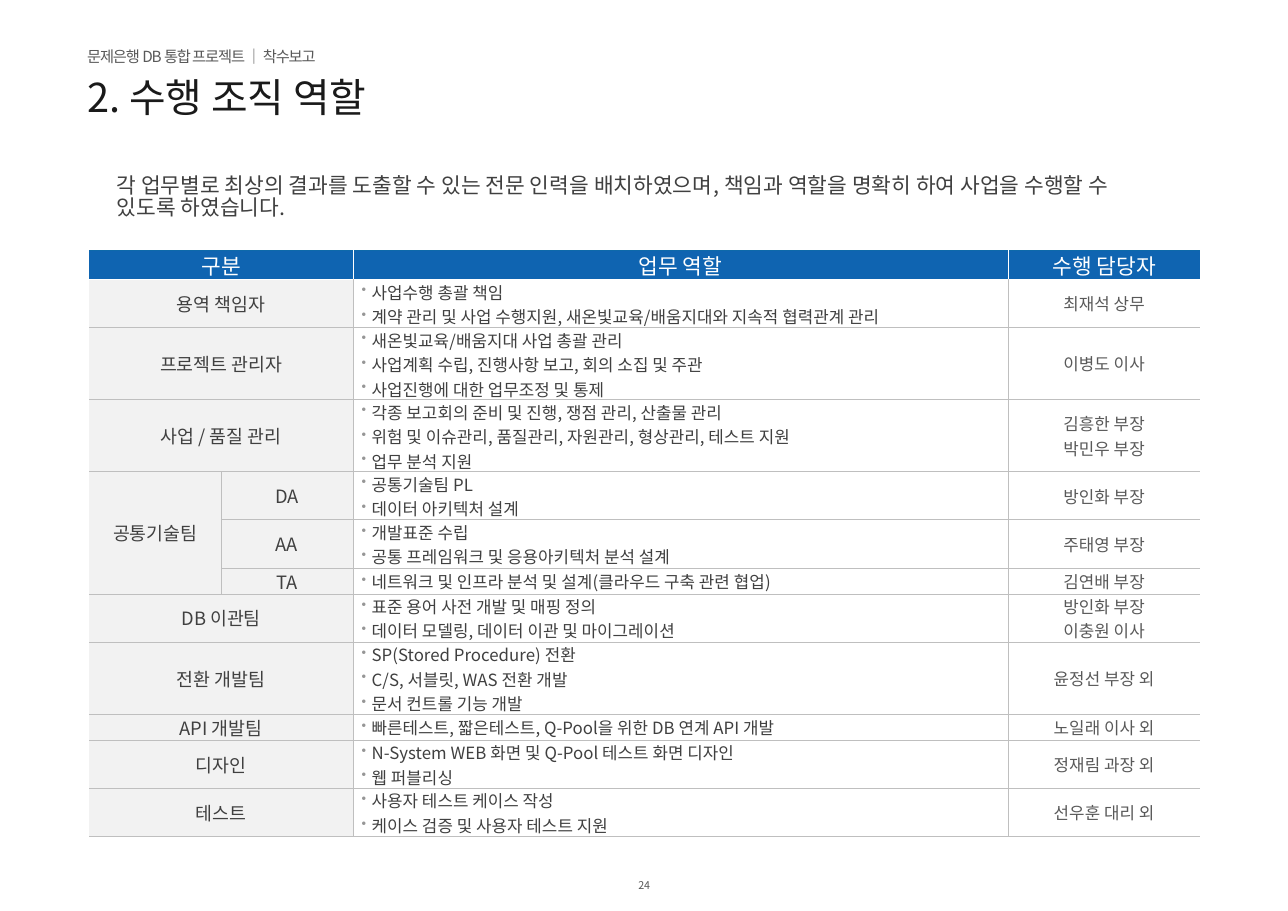
from lxml.etree import SubElement
from pptx import Presentation
from pptx.dml.color import RGBColor
from pptx.enum.text import MSO_ANCHOR, PP_ALIGN
from pptx.oxml.ns import qn
from pptx.util import Cm, Pt

FONT = "Noto Sans CJK KR"
COLORS = {
    "title": "1A1A1A", "text": "404040", "muted": "595959", "white": "FFFFFF",
    "header": "0F64B1", "header_top": "0E69AA", "division": "F2F2F2",
    "rule": "BFBFBF", "bullet": "969696",
}
HEADINGS = ["구분", "", "업무 역할", "수행 담당자"]
COLUMN_WIDTHS = [3.04, 3.04, 15.11, 4.42]
HEADER_HEIGHT = 0.67
HEIGHT_BY_DUTIES = {1: 0.6, 2: 1.11, 3: 1.66}
TEAM_ROWS = (4, 6)
ROLES = [
    ("용역 책임자", "", ["사업수행 총괄 책임",
                    "계약 관리 및 사업 수행지원, 새온빛교육/배움지대와 지속적 협력관계 관리"],
     ["최재석 상무"]),
    ("프로젝트 관리자", "", ["새온빛교육/배움지대 사업 총괄 관리",
                      "사업계획 수립, 진행사항 보고, 회의 소집 및 주관",
                      "사업진행에 대한 업무조정 및 통제"], ["이병도 이사"]),
    ("사업 / 품질 관리", "", ["각종 보고회의 준비 및 진행, 쟁점 관리, 산출물 관리",
                       "위험 및 이슈관리, 품질관리, 자원관리, 형상관리, 테스트 지원",
                       "업무 분석 지원"], ["김흥한 부장", "박민우 부장"]),
    ("공통기술팀", "DA", ["공통기술팀 PL", "데이터 아키텍처 설계"], ["방인화 부장"]),
    ("", "AA", ["개발표준 수립", "공통 프레임워크 및 응용아키텍처 분석 설계"], ["주태영 부장"]),
    ("", "TA", ["네트워크 및 인프라 분석 및 설계(클라우드 구축 관련 협업)"], ["김연배 부장"]),
    ("DB 이관팀", "", ["표준 용어 사전 개발 및 매핑 정의",
                    "데이터 모델링, 데이터 이관 및 마이그레이션"],
     ["방인화 부장", "이충원 이사"]),
    ("전환 개발팀", "", ["SP(Stored Procedure) 전환", "C/S, 서블릿, WAS 전환 개발",
                    "문서 컨트롤 기능 개발"], ["윤정선 부장 외"]),
    ("API 개발팀", "", ["빠른테스트, 짧은테스트, Q-Pool을 위한 DB 연계 API 개발"],
     ["노일래 이사 외"]),
    ("디자인", "", ["N-System WEB 화면 및 Q-Pool 테스트 화면 디자인", "웹 퍼블리싱"],
     ["정재림 과장 외"]),
    ("테스트", "", ["사용자 테스트 케이스 작성", "케이스 검증 및 사용자 테스트 지원"],
     ["선우훈 대리 외"]),
]


def rgb(color):
    """Return the named colour."""
    return RGBColor.from_string(COLORS[color])


def write_lines(frame, lines, size, color, align=PP_ALIGN.LEFT, spacing=None):
    """Fill a text frame with one formatted paragraph per line."""
    frame.text = "\n".join(lines)
    for paragraph in frame.paragraphs:
        paragraph.alignment = align
        if spacing:
            paragraph.line_spacing = spacing
        for run in paragraph.runs:
            run.font.size = Pt(size)
            run.font.color.rgb = rgb(color)
            run.font.name = FONT
            SubElement(run.font._element, qn("a:ea"), typeface=FONT)


def add_text(slide, place, text, size, color, align=PP_ALIGN.LEFT,
             anchor=MSO_ANCHOR.MIDDLE, spacing=0.85, insets=(0, 0)):
    """Add a wrapped text box and return its text frame."""
    frame = slide.shapes.add_textbox(*map(Cm, place)).text_frame
    frame.word_wrap = True
    frame.vertical_anchor = anchor
    frame.margin_left = frame.margin_right = Cm(insets[0])
    frame.margin_top = frame.margin_bottom = Cm(insets[1])
    write_lines(frame, [text], size, color, align, spacing)
    return frame


def add_bullet(paragraph):
    """Give a paragraph a small grey hanging bullet."""
    properties = paragraph._p.get_or_add_pPr()
    properties.set("marL", str(Cm(0.23)))
    properties.set("indent", str(Cm(-0.23)))
    color = SubElement(properties, qn("a:buClr"))
    SubElement(color, qn("a:srgbClr"), val=COLORS["bullet"])
    SubElement(properties, qn("a:buSzPct"), val="80000")
    SubElement(properties, qn("a:buChar"), char="•")


def set_borders(cell, left, right, top, bottom):
    """Draw half-point cell borders, or none where the colour is None."""
    properties = cell._tc.get_or_add_tcPr()
    sides = {"L": left, "R": right, "T": top, "B": bottom}
    for position, (side, color) in enumerate(sides.items()):
        line = SubElement(properties, qn(f"a:ln{side}"), w=str(Pt(0.5)))
        if color:
            fill = SubElement(line, qn("a:solidFill"))
            SubElement(fill, qn("a:srgbClr"), val=COLORS[color])
        else:
            SubElement(line, qn("a:noFill"))
        properties.insert(position, line)


def style_cell(cell, row, column):
    """Set the fill, margins and borders that belong to a grid position."""
    cell.vertical_anchor = MSO_ANCHOR.MIDDLE
    cell.margin_left = cell.margin_right = cell.margin_top = cell.margin_bottom = 0
    inner = "rule" if row else "white"
    top = {0: "header_top", 1: "white"}.get(row, "rule")
    if row == 0 or column < 2:
        cell.fill.solid()
        cell.fill.fore_color.rgb = rgb("division" if row else "header")
    else:
        cell.fill.background()
    if row and column < 2:
        cell.margin_left = cell.margin_right = Cm(0.1)
    elif row and column == 2:
        cell.margin_left = Cm(0.2)
    set_borders(cell, inner if column else None, inner if column < 3 else None, top, inner)


def fill_role(table, row, role):
    """Write one role's division, duties and people."""
    division, part, duties, people = role
    for column, name in enumerate((division, part)):
        if name:
            write_lines(table.cell(row, column).text_frame, [name], 12, "text", PP_ALIGN.CENTER)
    duty_frame = table.cell(row, 2).text_frame
    write_lines(duty_frame, duties, 11, "text")
    for paragraph in duty_frame.paragraphs:
        add_bullet(paragraph)
    write_lines(table.cell(row, 3).text_frame, people, 11, "muted", PP_ALIGN.CENTER)


def add_role_table(slide):
    """Add the table of roles and the people in charge."""
    heights = [HEADER_HEIGHT] + [HEIGHT_BY_DUTIES[len(role[2])] for role in ROLES]
    table = slide.shapes.add_table(
        len(heights), len(COLUMN_WIDTHS), Cm(2.06), Cm(5.77),
        Cm(sum(COLUMN_WIDTHS)), Cm(sum(heights))).table
    table.horz_banding = False
    table.first_row = False
    for column, width in enumerate(COLUMN_WIDTHS):
        table.columns[column].width = Cm(width)
    for row, height in enumerate(heights):
        table.rows[row].height = Cm(height)
        for column in range(len(COLUMN_WIDTHS)):
            style_cell(table.cell(row, column), row, column)
        if not TEAM_ROWS[0] <= row <= TEAM_ROWS[1]:
            table.cell(row, 0).merge(table.cell(row, 1))
    table.cell(TEAM_ROWS[0], 0).merge(table.cell(TEAM_ROWS[1], 0))
    for column, heading in enumerate(HEADINGS):
        if heading:
            write_lines(table.cell(0, column).text_frame, [heading], 14, "white",
                        PP_ALIGN.CENTER, 0.95)
    for row, role in enumerate(ROLES, start=1):
        fill_role(table, row, role)


def main():
    """Build the role slide and save it."""
    presentation = Presentation()
    presentation.slide_width, presentation.slide_height = Cm(29.7), Cm(21)
    slide = presentation.slides.add_slide(presentation.slide_layouts[6])
    project = add_text(slide, (2.01, 1.12, 8, 0.43), "문제은행 DB 통합 프로젝트 │ 착수보고", 10, "muted")
    project.paragraphs[0].runs[0].font._element.set("spc", "-70")
    add_text(slide, (14.4, 20.27, 0.91, 0.3), "24", 7, "muted", PP_ALIGN.CENTER)
    add_role_table(slide)
    add_text(slide, (2.44, 3.94, 24.79, 1.45),
             "각 업무별로 최상의 결과를 도출할 수 있는 전문 인력을 배치하였으며, "
             "책임과 역할을 명확히 하여 사업을 수행할 수 있도록 하였습니다.",
             14, "text", anchor=MSO_ANCHOR.TOP, insets=(0.25, 0.13))
    add_text(slide, (2.01, 1.8, 25.6, 1.14), "2. 수행 조직 역할", 26, "title",
             anchor=MSO_ANCHOR.TOP, spacing=0.9)
    presentation.save("out.pptx")


if __name__ == "__main__":
    main()
